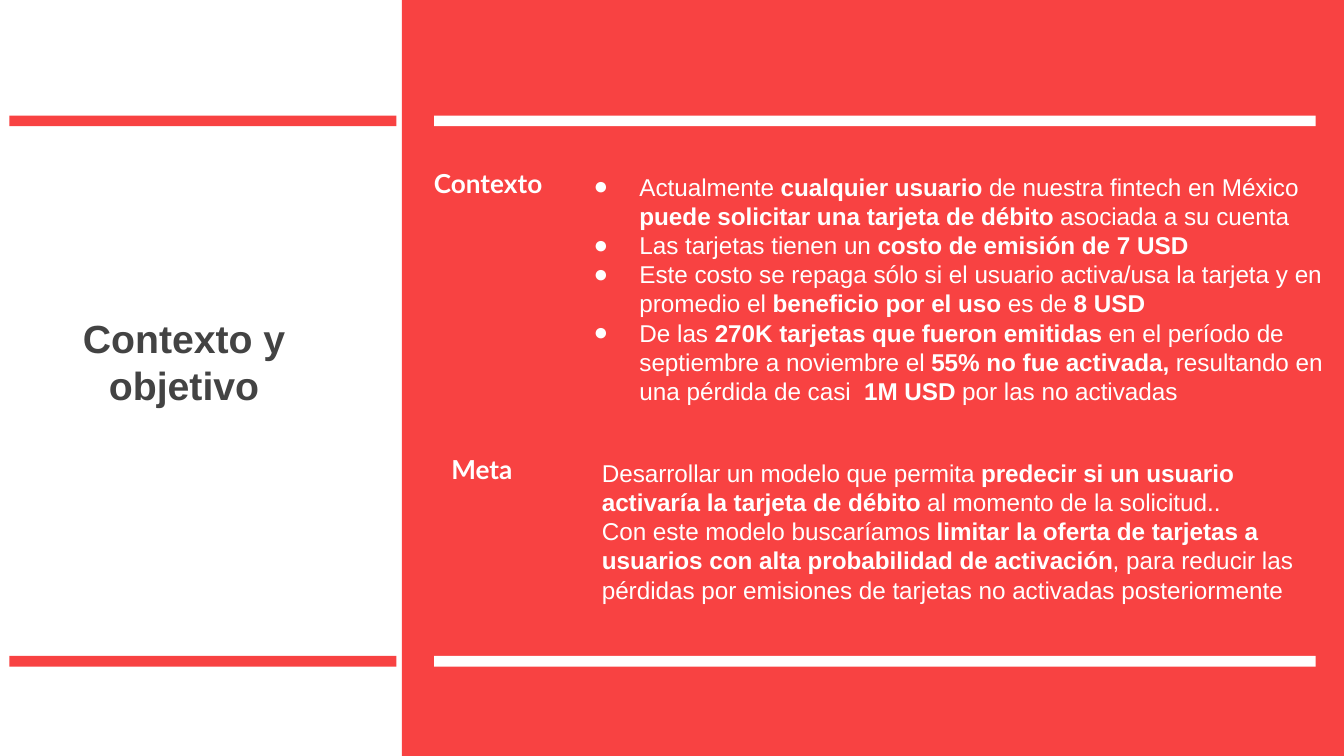
from lxml.etree import SubElement
from pptx import Presentation
from pptx.dml.color import RGBColor
from pptx.enum.shapes import MSO_SHAPE as Shape
from pptx.enum.text import MSO_ANCHOR as Anchor, MSO_AUTO_SIZE as Fit, PP_ALIGN as Align
from pptx.oxml.ns import qn
from pptx.util import Inches, Pt

RED, WHITE, GREY = "F84242", "FFFFFF", "434343"
WIDE = 10
HIGH = WIDE * 9 / 16


def paint(color, hue):
    color.rgb = RGBColor.from_string(hue)


def write(frame, texts, size, face="Arial", hue=WHITE, bullet=False):
    """Fill a frame with one paragraph per text; asterisks enclose bold parts."""
    frame.word_wrap = True
    frame.auto_size = Fit.NONE
    for i, text in enumerate(texts):
        par = frame.paragraphs[0] if i == 0 else frame.add_paragraph()
        if bullet:
            props = par._p.get_or_add_pPr()
            props.set("marL", str(Inches(0.5)))
            props.set("indent", str(Inches(-0.34)))
            tint = SubElement(props, qn("a:buClr"))
            SubElement(tint, qn("a:srgbClr"), val=WHITE)
            SubElement(props, qn("a:buSzPts"), val=str(size * 100))
            SubElement(props, qn("a:buFont"), typeface=face)
            SubElement(props, qn("a:buChar"), char="●")
        par.font.size, par.font.name = Pt(size), face
        paint(par.font.color, hue)
        for j, part in enumerate(text.split("*")):
            if part:
                run = par.add_run()
                run.text = part
                run.font.bold = j % 2 == 1


deck = Presentation()
deck.slide_width, deck.slide_height = Inches(WIDE), Inches(HIGH)
slide = deck.slides.add_slide(deck.slide_layouts[5])

# Red panel, then a rule above and below each column
edge, thick = 2.99, 0.08
bars = [(edge, 0, WIDE - edge, HIGH, RED)]
for top in (0.86, 4.88):
    bars += [(0.07, top, 2.88, thick, RED), (3.23, top, 6.56, thick, WHITE)]
for *box, hue in bars:
    bar = slide.shapes.add_shape(Shape.RECTANGLE, *map(Inches, box))
    bar.shadow.inherit = False
    bar.fill.solid()
    paint(bar.fill.fore_color, hue)
    bar.line.fill.background()

title = slide.shapes.title
title.left, title.top, title.width, title.height = map(Inches, (0.46, 2.23, 1.82, 0.92))
frame = title.text_frame
frame.margin_left = frame.margin_right = Inches(0.02)
frame.margin_top = frame.margin_bottom = Inches(0.01)
frame.vertical_anchor = Anchor.MIDDLE
write(frame, ["*Contexto y objetivo*"], 21, hue=GREY)
frame.paragraphs[0].alignment = Align.CENTER

facts = [
    "Actualmente* cualquier usuario *de nuestra fintech en México "
    "*puede solicitar una tarjeta de débito* asociada a su cuenta",
    "Las tarjetas tienen un *costo de emisión de 7 USD*",
    "Este costo se repaga sólo si el usuario activa/usa la tarjeta y en promedio el "
    "*beneficio por el uso* es de* 8 USD*",
    "De las *270K tarjetas que fueron emitidas* en el período de septiembre a noviembre el "
    "*55% no fue activada,* resultando en una pérdida de casi*  1M USD* por las no activadas",
]
goals = [
    "Desarrollar un modelo que permita *predecir si un usuario activaría la tarjeta de débito*"
    " al momento de la solicitud..",
    "Con este modelo buscaríamos *limitar la oferta de tarjetas a usuarios con alta "
    "probabilidad de activación*, para reducir las pérdidas por emisiones de tarjetas "
    "no activadas posteriormente",
]
blocks = [
    ((3.13, 1.13, 1.03, 0.46), ["*Contexto*"], 14, "Lato", False),
    ((3.26, 3.26, 0.76, 0.46), ["*Meta*"], 14, "Lato", False),
    ((4.16, 1.18, 5.84, 2), facts, 13, "Arial", True),
    ((4.38, 3.31, 5.4, 1.4), goals, 13, "Arial", False),
]
for box, texts, size, face, bullet in blocks:
    frame = slide.shapes.add_textbox(*map(Inches, box)).text_frame
    frame.margin_left = frame.margin_right = Inches(0.1)
    frame.margin_top = frame.margin_bottom = Inches(0.1)
    frame.vertical_anchor = Anchor.MIDDLE if face == "Lato" else Anchor.TOP
    write(frame, texts, size, face, bullet=bullet)

deck.save("out.pptx")
